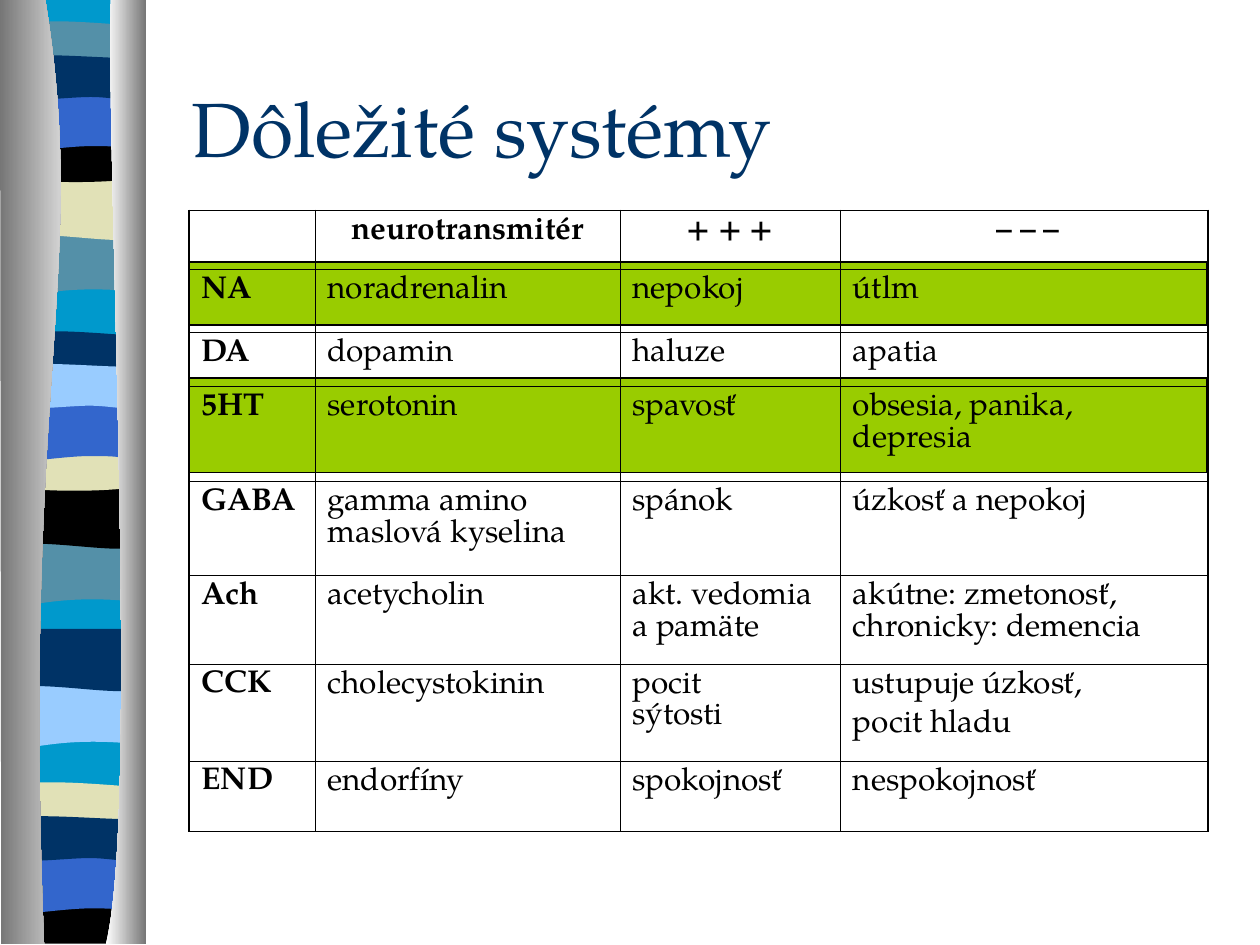
import pptx
import pptx.dml.color
import pptx.enum.shapes
import pptx.enum.text
import pptx.oxml
import pptx.oxml.ns
import pptx.util

FONT = "TeX Gyre Pagella"
COLORS = {
    "cyan": "0099CC", "teal": "5490A8", "sand": "E1E1B7", "black": "000000",
    "blue": "3366CC", "navy": "003366", "sky": "99CCFF", "green": "99CC00",
    "gray": "767676", "white": "FFFFFF",
}
TITLE = "Dôležité systémy"
ROWS = [
    ("", "neurotransmitér", "+ + +", " – – –"),
    ("NA", "noradrenalin", "nepokoj", "útlm"),
    ("DA", "dopamin", "haluze", "apatia"),
    ("5HT", "serotonin", "spavosť", "obsesia, panika, depresia"),
    ("GABA", "gamma amino maslová kyselina", "spánok", "úzkosť a nepokoj"),
    ("Ach", "acetycholin", "akt. vedomia a pamäte",
     "akútne: zmetonosť,\vchronicky: demencia"),
    ("CCK", "cholecystokinin", "pocit\vsýtosti", "ustupuje úzkosť,\npocit hladu"),
    ("END", "endorfíny", "spokojnosť", "nespokojnosť"),
]
COLUMN_WIDTHS = [1, 2.42, 1.75, 2.92]
ROW_HEIGHTS = [0.47, 0.5, 0.43, 0.75, 0.75, 0.7, 0.77, 0.56]
TABLE_LEFT, TABLE_TOP, TABLE_WIDTH = 1.5, 1.67, 8.08
HIGHLIGHTS = [(2.08, 0.5), (3, 0.75)]  # top, height

# Outlines in inches: pairs are corners, sixes are Bézier curves.
BANDS = {
    "wave": [(1.08, 0), (1.08, 0.47), (0.33, 0.39, 0.18, 0.55, 0, 0.47), (0, 0)],
    "swell": [(1.08, 0), (1.08, 0.47), (0.9, 0.55, 0.33, 0.41, 0, 0.47), (0, 0)],
    "lens": [(1.08, 0.05), (1.08, 0.29), (0.9, 0.33, 0.18, 0.33, 0, 0.29), (0, 0.05),
             (0.06, 0, 0.23, 0.01, 0.41, 0.01), (0.59, 0.01, 0.94, 0.04, 1.08, 0.05)],
    "sag": [(1.08, 0), (1.08, 0.32), (0.9, 0.38, 0.18, 0.38, 0, 0.32), (0, 0),
            (0.66, 0.05, 0.85, 0, 1.08, 0)],
    "arch": [(1.08, 0), (1.08, 0.47), (0.91, 0.42, 0.84, 0.42, 0.66, 0.42),
             (0.48, 0.42, 0.16, 0.47, 0, 0.47), (0, 0)],
    "ripple": [(1.08, 0.05), (1.08, 0.36), (1.01, 0.41, 0.84, 0.36, 0.66, 0.36),
               (0.48, 0.36, 0.11, 0.41, 0, 0.36), (0, 0.05),
               (0.15, 0, 0.73, 0.05, 0.91, 0.05), (1.09, 0.05, 1.04, 0.05, 1.08, 0.05)],
    "base": [(1.08, 0), (1.08, 0.37), (0, 0.37), (0, 0), (0.66, 0.05, 0.85, 0, 1.08, 0)],
    "backing": [(1.08, 0), (1.08, 7.47), (0, 7.47), (0, 0)],
}
STRIPES = [  # band, left, top, color
    ("backing", 0.06, 0, "cyan"),
    ("wave", 0.06, 1.85, "teal"), ("swell", 0.06, 1.41, "sand"),
    ("lens", 0.06, 0.16, "teal"), ("sag", 0.06, 1.08, "black"),
    ("arch", 0.06, 0.74, "blue"), ("ripple", 0.06, 0.41, "navy"),
    ("wave", 0.05, 4.31, "teal"), ("swell", 0.05, 3.86, "black"),
    ("lens", 0.05, 2.62, "navy"), ("sag", 0.05, 3.53, "sand"),
    ("arch", 0.05, 3.2, "blue"), ("ripple", 0.05, 2.86, "sky"),
    ("wave", 0.06, 5.44, "sky"), ("swell", 0.06, 4.99, "navy"),
    ("lens", 0.05, 6.2, "sand"), ("base", 0.05, 7.12, "black"),
    ("arch", 0.05, 6.79, "blue"), ("ripple", 0.05, 6.45, "navy"),
]
CURTAINS = [  # outline, color at left, color at right
    ([(0.36, 0), (0.71, 2.16, 0.17, 2.96, 0.35, 7.49), (0.01, 7.49), (0, 0)],
     "gray", "white"),
    ([(0.88, 0), (0.84, 1.25, 1.11, 6.46, 0.84, 7.49), (1.16, 7.49), (1.16, 0)],
     "white", "gray"),
]


def rgb(name):
    return pptx.dml.color.RGBColor.from_string(COLORS[name])


def bend_curves(shape, outline):
    """Join each run of three line segments that stands for a curve into one."""
    segments = iter(list(shape._element.iter(pptx.oxml.ns.qn("a:lnTo"))))
    for part in outline[1:]:
        lines = [next(segments) for _ in range(len(part) // 2)]
        if len(lines) == 1:
            continue
        curve = pptx.oxml.parse_xml(f'<a:cubicBezTo {pptx.oxml.ns.nsdecls("a")}/>')
        lines[0].addprevious(curve)
        for line in lines:
            curve.append(line[0])
            line.getparent().remove(line)


def add_outline(page, outline, left=0, top=0):
    points = [(pptx.util.Inches(left + part[i]), pptx.util.Inches(top + part[i + 1]))
              for part in outline for i in range(0, len(part), 2)]
    builder = page.shapes.build_freeform(*points[0])
    builder.add_line_segments(points[1:], close=True)
    shape = builder.convert_to_shape()
    bend_curves(shape, outline)
    shape.shadow.inherit = False
    shape.line.fill.background()
    return shape


def add_side_ornament(page):
    for band, left, top, color in STRIPES:
        stripe = add_outline(page, BANDS[band], left, top)
        stripe.fill.solid()
        stripe.fill.fore_color.rgb = rgb(color)
    for outline, *colors in CURTAINS:
        curtain = add_outline(page, outline)
        curtain.fill.gradient()
        curtain.fill.gradient_angle = 0
        for stop, color, position in zip(curtain.fill.gradient_stops, colors, (0, 1)):
            stop.color.rgb = rgb(color)
            stop.position = position


def add_title(page):
    title = page.shapes.title
    title.left, title.top, title.width, title.height = (
        pptx.util.Inches(length) for length in (1.42, 0.67, 7.67, 0.67))
    frame = title.text_frame
    frame.text = TITLE
    frame.auto_size = pptx.enum.text.MSO_AUTO_SIZE.NONE
    frame.vertical_anchor = pptx.enum.text.MSO_ANCHOR.MIDDLE
    para = frame.paragraphs[0]
    para.alignment = pptx.enum.text.PP_ALIGN.LEFT
    para.font.name, para.font.size = FONT, pptx.util.Pt(44)
    para.font.color.rgb = rgb("navy")


def add_highlights(page):
    for top, height in HIGHLIGHTS:
        bar = page.shapes.add_shape(
            pptx.enum.shapes.MSO_SHAPE.RECTANGLE,
            *(pptx.util.Inches(length) for length in (TABLE_LEFT, top, TABLE_WIDTH, height)))
        bar.shadow.inherit = False
        bar.fill.solid()
        bar.fill.fore_color.rgb = rgb("green")
        bar.line.color.rgb = rgb("black")
        bar.line.width = pptx.util.Pt(0.75)


def set_borders(cell, outer):
    """Draw the four borders, heavier on the sides listed in outer."""
    properties = cell._tc.get_or_add_tcPr()
    for index, side in enumerate("LRTB"):
        width = pptx.util.Pt(1.08 if side in outer else 0.45)
        properties.insert(index, pptx.oxml.parse_xml(
            f'<a:ln{side} {pptx.oxml.ns.nsdecls("a")} w="{width}"><a:solidFill>'
            f'<a:srgbClr val="{COLORS["black"]}"/></a:solidFill></a:ln{side}>'))


def add_systems_table(page):
    table = page.shapes.add_table(
        len(ROWS), len(COLUMN_WIDTHS),
        *(pptx.util.Inches(length)
          for length in (TABLE_LEFT, TABLE_TOP, TABLE_WIDTH, sum(ROW_HEIGHTS)))).table
    table.first_row = table.horz_banding = False
    for column, width in zip(table.columns, COLUMN_WIDTHS):
        column.width = pptx.util.Inches(width)
    last_row, last_column = len(ROWS) - 1, len(COLUMN_WIDTHS) - 1
    for r, texts in enumerate(ROWS):
        table.rows[r].height = pptx.util.Inches(ROW_HEIGHTS[r])
        for c, text in enumerate(texts):
            cell = table.cell(r, c)
            cell.fill.background()
            edges = {"L": c == 0, "R": c == last_column, "T": r == 0, "B": r == last_row}
            set_borders(cell, [side for side, is_outer in edges.items() if is_outer])
            cell.text_frame.text = text
            for index, para in enumerate(cell.text_frame.paragraphs):
                if index:
                    para.space_before = pptx.util.Pt(4.5)
                if r == 0:
                    para.alignment = pptx.enum.text.PP_ALIGN.CENTER
                para.font.name, para.font.size = FONT, pptx.util.Pt(18)
                para.font.bold = r == 0 or c == 0
                para.font.color.rgb = rgb("black")


def main():
    deck = pptx.Presentation()
    deck.slide_width, deck.slide_height = pptx.util.Inches(10), pptx.util.Inches(7.5)
    page = deck.slides.add_slide(deck.slide_layouts[5])
    add_side_ornament(page)
    add_title(page)
    add_highlights(page)
    add_systems_table(page)
    deck.save("out.pptx")


if __name__ == "__main__":
    main()
